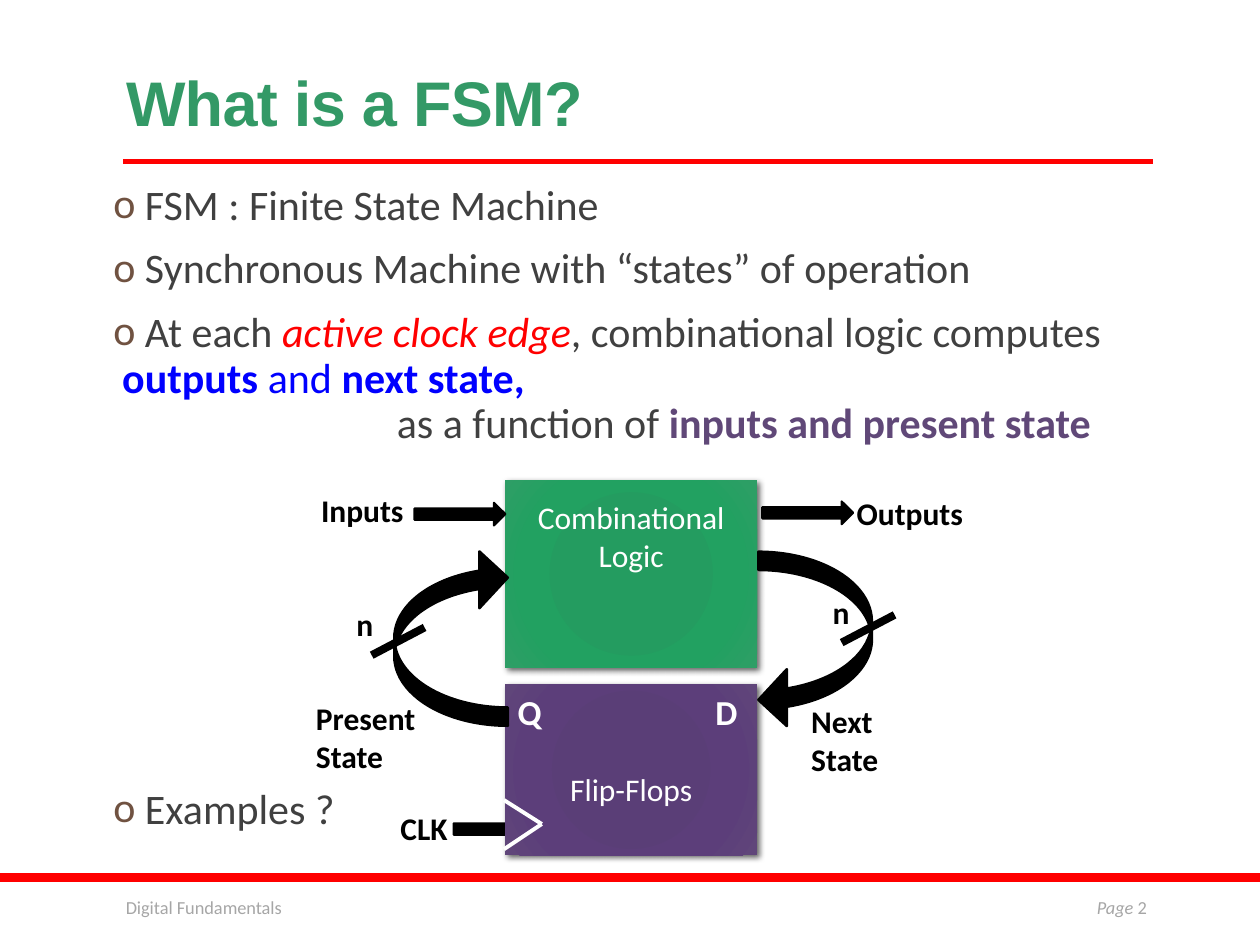
from lxml.etree import SubElement
from pptx import Presentation
from pptx.dml.color import RGBColor
from pptx.enum.shapes import MSO_CONNECTOR as Connector, MSO_SHAPE as Shape
from pptx.enum.text import MSO_ANCHOR as Anchor, MSO_AUTO_SIZE as AutoSize, PP_ALIGN as Align
from pptx.oxml.ns import qn
from pptx.util import Pt

PX = 9144
THEME = {
    "red": "FF0000", "blue": "0000FF", "title": "339966", "body": "404040",
    "bullet": "705241", "purple": "604878", "muted": "A6A6A6",
    "black": "000000", "white": "FFFFFF",
    "logic": [(0, "219D5F"), (34, "249C60"), (70, "22A161"), (100, "2E9E66")],
    "memory": [(0, "593C77"), (34, "5A3E77"), (70, "5C3E7A"), (100, "60467A")],
    "title_size": 36, "body_size": 24, "pin_size": 20, "label_size": 18, "footer_size": 10.5,
    "title_font": "Arial", "font": "Calibri",
}

TITLE = "What is a FSM?"
BULLETS = [
    (0, [(" FSM : Finite State Machine", {})]),
    (9, [(" Synchronous Machine with “states” of operation", {})]),
    (9, [
        (" At each ", {}),
        ("active clock edge", {"color": "red", "italic": True}),
        (", combinational logic computes ", {}),
        ("outputs ", {"color": "blue", "bold": True}),
        ("and ", {"color": "blue"}),
        ("next state,", {"color": "blue", "bold": True}),
        ("\n", {}),
        ("\tas a function of", {}),
        (" inputs and present state", {"color": "purple", "bold": True}),
    ]),
    (193, [(" Examples ?", {})]),
]
LABELS = [
    (["CLK"], (308, 637, 59, 40)),
    (["Outputs"], (670, 387, 105, 40)),
    (["Next", "State"], (634, 552, 80, 71)),
    (["Present", "State"], (241, 550, 100, 71)),
    (["n"], (273, 475, 34, 40)),
    (["n"], (651, 466, 34, 40)),
    (["Inputs"], (245, 385, 87, 40)),
]
SIGNAL_ARROWS = [(605, 398), (329, 399)]
CLOCK_ARROW = (360, 649)
FEEDBACK_ARROWS = [((313, 436), "flipV"), ((602, 438), "flipH")]
BUS_SLASHES = [(295, 520, 337, 498), (668, 510, 710, 488)]
CLOCK_WEDGE = [(400, 635, 430, 654), (430, 654, 400, 674)]
FOOTERS = [
    ((90, 706, 396, 40), Align.LEFT, [("Digital Fundamentals", {})]),
    ((812, 706, 108, 40), Align.RIGHT, [("Page ", {"italic": True}), ("2", {})]),
]

deck = Presentation()
deck.slide_width, deck.slide_height = 1000 * PX, 750 * PX
page = deck.slides.add_slide(deck.slide_layouts[1])


def scale(values):
    return [value * PX for value in values]


def rgb(name):
    return RGBColor.from_string(THEME[name])


def apply(target, values):
    for name, value in values.items():
        setattr(target, name, value)


def write(para, spans, size, color, bold=False, font="font", **layout):
    apply(para, layout)
    for text, style in spans:
        if text == "\n":
            para.add_line_break()
            continue
        span = para.add_run()
        span.text = text
        apply(span.font, {
            "name": THEME[font], "size": Pt(THEME[size]),
            "bold": style.get("bold", bold), "italic": style.get("italic", False),
        })
        span.font.color.rgb = rgb(style.get("color", color))


def paragraph_at(frame, index):
    return frame.add_paragraph() if index else frame.paragraphs[0]


def add_tab(para, position):
    tabs = SubElement(para._p.get_or_add_pPr(), qn("a:tabLst"))
    SubElement(tabs, qn("a:tab"), pos=str(position * PX), algn="l")


def add_bullet(para, indent):
    properties = para._p.get_or_add_pPr()
    properties.set("marL", str(indent * PX))
    properties.set("indent", str(-indent * PX))
    tint = SubElement(properties, qn("a:buClr"))
    SubElement(tint, qn("a:srgbClr"), val=THEME["bullet"])
    SubElement(properties, qn("a:buFont"), typeface=THEME["font"])
    SubElement(properties, qn("a:buChar"), char="o")


def place(shape, box):
    apply(shape, dict(zip(("left", "top", "width", "height"), scale(box))))


def add_line(ends, color, width):
    line = page.shapes.add_connector(Connector.STRAIGHT, *scale(ends))
    line.line.color.rgb = rgb(color)
    line.line.width = Pt(width)
    SubElement(line._element.spPr, qn("a:effectLst"))


def add_solid(kind, box, color, outline=None):
    shape = page.shapes.add_shape(kind, *scale(box))
    shape.shadow.inherit = False
    shape.fill.solid()
    shape.fill.fore_color.rgb = rgb(color)
    if outline:
        shape.line.color.rgb = rgb(color)
        shape.line.width = Pt(outline)
    else:
        shape.line.fill.background()
    return shape


def add_signal(corner):
    add_solid(Shape.RIGHT_ARROW, (*corner, 72, 18), "black", 1.25)


def add_block(box, stops, margin_top):
    block = add_solid(Shape.RECTANGLE, box, "black")
    properties = block._element.spPr
    gradient = SubElement(properties, qn("a:gradFill"), rotWithShape="1")
    properties.replace(properties.find(qn("a:solidFill")), gradient)
    stop_list = SubElement(gradient, qn("a:gsLst"))
    for position, color in THEME[stops]:
        stop = SubElement(stop_list, qn("a:gs"), pos=str(position * 1000))
        SubElement(stop, qn("a:srgbClr"), val=color)
    circle = SubElement(gradient, qn("a:path"), path="circle")
    SubElement(circle, qn("a:fillToRect"), dict.fromkeys("ltrb", "100000"))
    shadow = SubElement(properties.find(qn("a:effectLst")), qn("a:outerShdw"),
                        blurRad=str(Pt(3.5)), dist=str(Pt(2)), dir=str(45 * 60000))
    shade = SubElement(shadow, qn("a:srgbClr"), val=THEME["black"])
    SubElement(shade, qn("a:alpha"), val="60000")
    apply(block.text_frame, {"vertical_anchor": Anchor.TOP, "margin_top": margin_top * PX})
    return block.text_frame


def add_text(box, wrap):
    frame = page.shapes.add_textbox(*scale(box)).text_frame
    frame.word_wrap = wrap
    return frame


add_solid(Shape.RECTANGLE, (0, 693, 1000, 7), "red")
add_line((98, 128, 915, 128), "red", 3)

title, body = page.placeholders
place(title, (90, 32, 825, 84))
apply(title.text_frame, {"vertical_anchor": Anchor.BOTTOM, "auto_size": AutoSize.NONE})
heading = title.text_frame.paragraphs[0]
write(heading, [(TITLE, {})], "title_size", "title", True, "title_font",
      alignment=Align.LEFT, line_spacing=0.85)
heading.runs[0].font._element.set("spc", "-40")

place(body, (90, 141, 830, 539))
apply(body.text_frame, {"margin_left": 0, "margin_right": 0, "auto_size": AutoSize.NONE,
                        "vertical_anchor": Anchor.TOP})
for index, (gap, spans) in enumerate(BULLETS):
    para = paragraph_at(body.text_frame, index)
    add_bullet(para, 7)
    add_tab(para, 225)
    write(para, spans, "body_size", "body", line_spacing=0.9,
          space_before=Pt(gap), space_after=Pt(1.5))

for box, alignment, spans in FOOTERS:
    write(add_text(box, True).paragraphs[0], spans, "footer_size", "muted", alignment=alignment)

add_signal(CLOCK_ARROW)
logic = add_block((401, 381, 200, 149), "logic", 14)
write(logic.paragraphs[0], [("Combinational Logic", {})], "label_size", "white",
      alignment=Align.CENTER)
memory = add_block((401, 543, 200, 136), "memory", 5)
pins = memory.paragraphs[0]
add_tab(pins, 157)
write(pins, [("Q\tD", {})], "pin_size", "white", True, alignment=Align.LEFT)
write(memory.add_paragraph(), [("Flip-Flops", {})], "label_size", "white",
      alignment=Align.CENTER, space_before=Pt(21.5))

for ends in CLOCK_WEDGE:
    add_line(ends, "white", 2.25)
for corner in SIGNAL_ARROWS:
    add_signal(corner)
for corner, flip in FEEDBACK_ARROWS:
    arrow = add_solid(Shape.CURVED_RIGHT_ARROW, (*corner, 90, 140), "black", 1.5)
    for index, value in enumerate((0.16, 0.5, 0.25)):
        arrow.adjustments[index] = value
    arrow._element.spPr.find(qn("a:xfrm")).set(flip, "1")
for ends in BUS_SLASHES:
    add_line(ends, "black", 4.5)
for lines, box in LABELS:
    frame = add_text(box, False)
    for index, text in enumerate(lines):
        write(paragraph_at(frame, index), [(text, {})], "label_size", "black", True)

deck.save("out.pptx")
